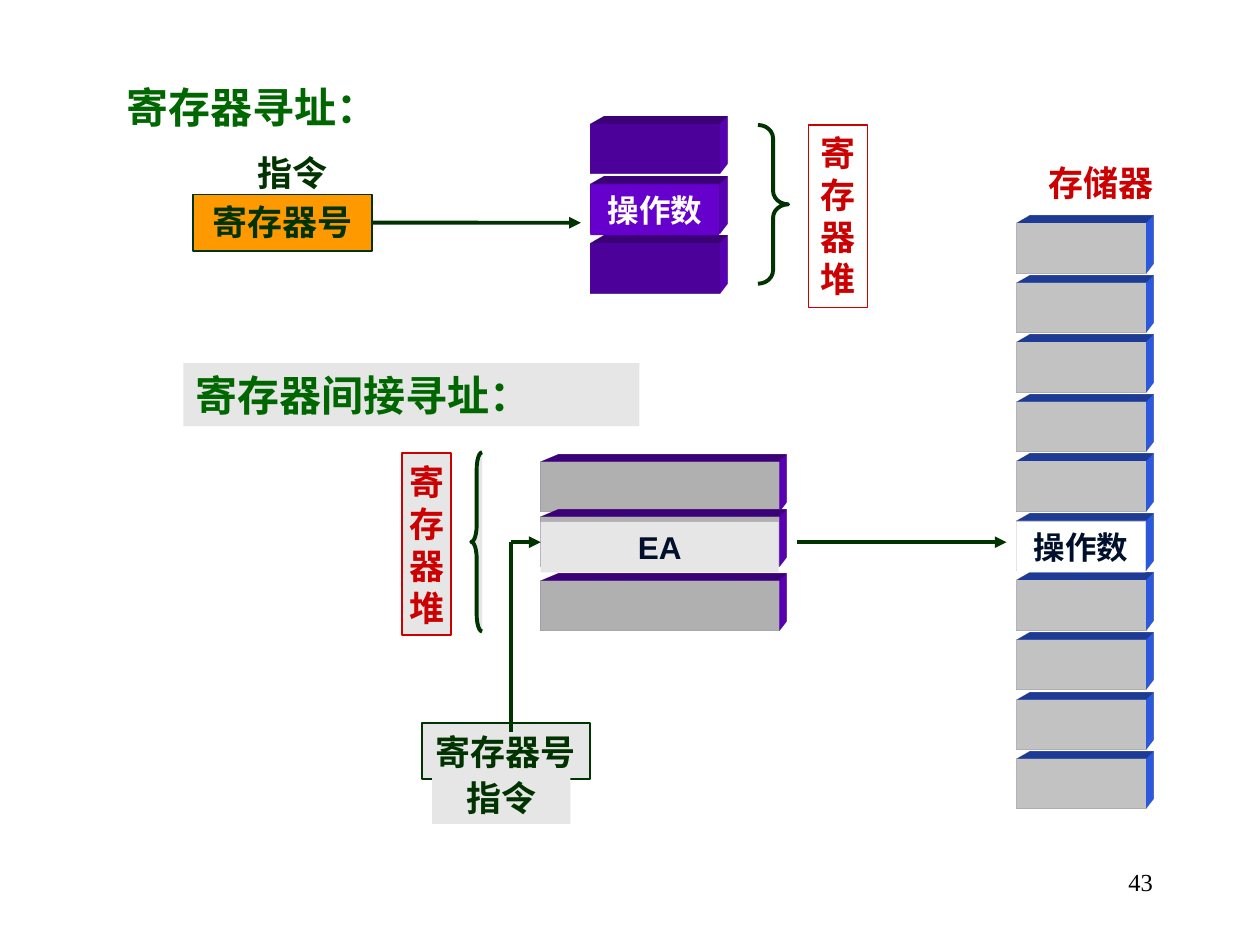
import pptx
import pptx.util
import pptx.dml.color
import pptx.enum.shapes
import pptx.enum.text
import pptx.oxml
import pptx.oxml.ns
from lxml import etree

Cm = pptx.util.Cm
Pt = pptx.util.Pt
SHAPES = pptx.enum.shapes.MSO_SHAPE
ALIGN = pptx.enum.text.PP_ALIGN
ANCHOR = pptx.enum.text.MSO_ANCHOR

GREEN, TITLE_GREEN, RED = "003300", "006600", "CC0000"
PURPLE, BLUE, NAVY = "6600CC", "3366FF", "000F2B"
GREY, WHITE = "E6E6E6", "FFFFFF"
ROW_HEIGHT, ROW_PITCH = 1.0, 1.2

SCENE = """<a:scene3d %s><a:camera prst="legacyPerspectiveTopRight"/>
<a:lightRig rig="legacyFlat3" dir="b"/></a:scene3d>"""
EXTRUSION = """<a:sp3d %s extrusionH="430200" prstMaterial="legacyMatte">
<a:bevelT w="13500" h="13500" prst="angle"/>
<a:bevelB w="13500" h="13500" prst="angle"/>
<a:extrusionClr><a:srgbClr val="%s"/></a:extrusionClr></a:sp3d>"""


def color(hex_string):
    return pptx.dml.color.RGBColor.from_string(hex_string)


def write(shape, text, size, text_color, align=ALIGN.CENTER, font="Arial",
          bold=True, anchor=ANCHOR.TOP, inset=0.25):
    frame = shape.text_frame
    frame.word_wrap = True
    frame.vertical_anchor = anchor
    frame.margin_left = frame.margin_right = Cm(inset)
    paragraph = frame.paragraphs[0]
    paragraph.alignment = align
    run = paragraph.add_run()
    run.text = text
    run.font.name = font
    run.font.size = Pt(size)
    run.font.bold = bold
    run.font.color.rgb = color(text_color)


def add_preset(slide, kind, box, fill=None, line=None, width=1):
    shape = slide.shapes.add_shape(kind, *map(Cm, box))
    shape.shadow.inherit = False
    if fill:
        shape.fill.solid()
        shape.fill.fore_color.rgb = color(fill)
    else:
        shape.fill.background()
    if line:
        shape.line.color.rgb = color(line)
        shape.line.width = Pt(width)
    else:
        shape.line.fill.background()
    return shape


def add_label(slide, box, text, size, text_color, fill=None, line=None, **options):
    shape = add_preset(slide, SHAPES.RECTANGLE, box, fill, line)
    write(shape, text, size, text_color, **options)
    return shape


def add_text(slide, box, text, size, text_color, **options):
    shape = slide.shapes.add_textbox(*map(Cm, box))
    write(shape, text, size, text_color, **options)


def add_solid(slide, left, top, width, fill, side_color):
    """Rectangle extruded towards the upper right."""
    shape = add_preset(slide, SHAPES.RECTANGLE, (left, top, width, ROW_HEIGHT), fill)
    namespace = pptx.oxml.ns.nsdecls("a")
    properties = shape._element.spPr
    properties.append(pptx.oxml.parse_xml(SCENE % namespace))
    properties.append(pptx.oxml.parse_xml(EXTRUSION % (namespace, side_color)))
    return shape


def add_brace(slide, kind, box, curve, fill=None):
    brace = add_preset(slide, kind, box, fill, GREEN, 2.25)
    brace.adjustments[0] = curve
    brace.adjustments[1] = 0.5


def add_line(slide, start, end, arrow=True):
    connector = slide.shapes.add_connector(
        pptx.enum.shapes.MSO_CONNECTOR.STRAIGHT, *map(Cm, start + end))
    connector.line.color.rgb = color(GREEN)
    connector.line.width = Pt(2.25)
    if arrow:
        line = connector.line._get_or_add_ln()
        etree.SubElement(line, pptx.oxml.ns.qn("a:tailEnd"), type="triangle")
    etree.SubElement(connector._element.spPr, pptx.oxml.ns.qn("a:effectLst"))
    return connector


def add_register_addressing(slide):
    number = add_label(slide, (3.89, 3.92, 3.61, 1.14), "寄存器号", 20, GREEN,
                       "FF9900", GREEN)
    add_text(slide, (4.5, 2.92, 2.79, 1.09), "指令", 20, GREEN)

    # Register file with the operand in the middle row
    for row in range(3):
        add_solid(slide, 11.9, 2.51 + row * ROW_PITCH, 2.6, PURPLE, PURPLE)
    add_label(slide, (11.9, 3.72, 2.6, 1.02), "操作数", 18, WHITE, PURPLE)

    arrow = add_line(slide, (7.5, 4.49), (11.71, 4.49))
    arrow.begin_connect(number, 3)
    add_label(slide, (16.3, 2.52, 1.19, 3.68), "寄存器堆", 20, RED,
              line=RED, align=ALIGN.LEFT)
    add_brace(slide, SHAPES.RIGHT_BRACE, (15.28, 2.52, 0.61, 3.2), 0.444)
    add_text(slide, (2.3, 1.52, 7.59, 1.27), "寄存器寻址：", 24, TITLE_GREEN,
             align=ALIGN.LEFT)


def add_indirect_addressing(slide):
    add_brace(slide, SHAPES.LEFT_BRACE, (9.5, 9.12, 0.22, 3.61), 1.509, GREY)
    add_label(slide, (8.51, 14.57, 3.38, 1.14), "寄存器号", 20, GREEN, GREY, GREEN,
              anchor=ANCHOR.MIDDLE)
    add_label(slide, (8.71, 15.52, 2.79, 1.09), "指令", 20, GREEN, GREY)

    # Register file with the effective address in the middle row
    rows = [add_solid(slide, 10.9, top, 4.8, GREY, PURPLE)
            for top in (9.32, 10.43, 11.72)]
    add_label(slide, (8.1, 9.13, 0.99, 3.68), "寄存器堆", 20, RED, GREY, RED,
              align=ALIGN.LEFT, anchor=ANCHOR.MIDDLE, inset=0.15)
    add_label(slide, (10.9, 10.52, 4.8, 1.02), "EA", 18, NAVY, GREY)

    # Path from the instruction to the register and on to memory
    add_line(slide, (16.07, 10.93), (20.29, 10.93))
    add_line(slide, (10.3, 14.75), (10.3, 10.93), arrow=False)
    arrow = add_line(slide, (10.3, 10.93), (10.9, 10.93))
    arrow.end_connect(rows[1], 1)
    add_label(slide, (3.7, 7.32, 9.19, 1.27), "寄存器间接寻址：", 24, TITLE_GREEN,
              GREY, align=ALIGN.LEFT)


def add_memory(slide):
    for row in range(10):
        add_solid(slide, 20.49, 4.51 + row * ROW_PITCH, 2.6, WHITE, BLUE)
    add_label(slide, (20.49, 10.52, 2.6, 1.02), "操作数", 18, NAVY, WHITE)
    add_label(slide, (20.7, 3.13, 3, 1.09), "存储器", 20, RED, WHITE)


def main():
    presentation = pptx.Presentation()
    presentation.slide_width = Cm(25.4)
    presentation.slide_height = Cm(19.05)
    slide = presentation.slides.add_slide(presentation.slide_layouts[6])

    add_register_addressing(slide)
    add_indirect_addressing(slide)
    add_memory(slide)

    # Page number
    add_text(slide, (18.21, 17.35, 5.28, 1.27), "43", 14, "000000",
             align=ALIGN.RIGHT, font="Times New Roman", bold=False)
    presentation.save("out.pptx")


if __name__ == "__main__":
    main()
